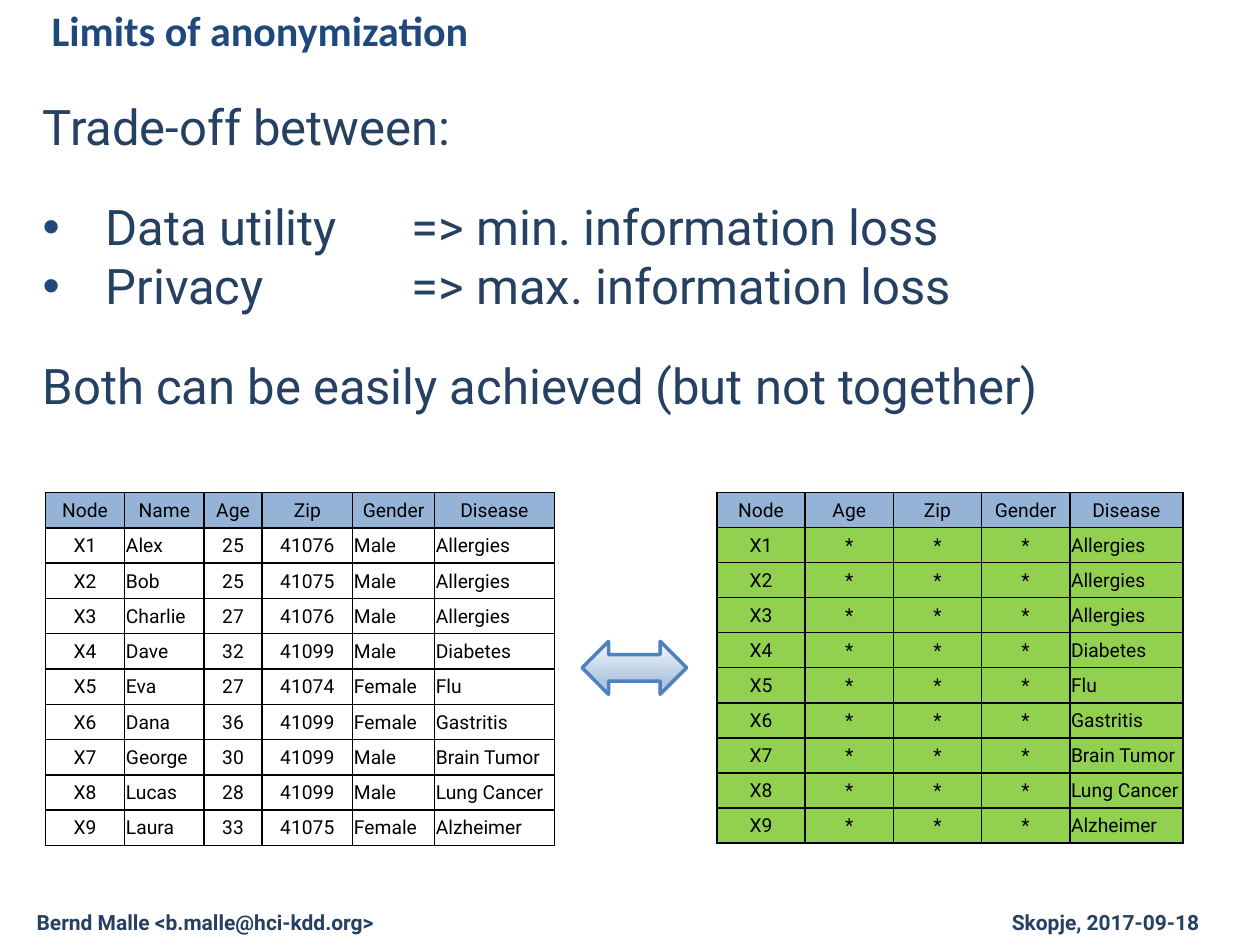
from dataclasses import dataclass

from lxml import etree
from pptx import Presentation
from pptx.dml.color import RGBColor
from pptx.enum.shapes import MSO_SHAPE
from pptx.enum.text import MSO_ANCHOR, PP_ALIGN
from pptx.oxml.ns import qn
from pptx.slide import Slide
from pptx.text.text import _Paragraph
from pptx.util import Inches, Pt

ARROW = MSO_SHAPE.LEFT_RIGHT_ARROW
MIDDLE, TOP = MSO_ANCHOR.MIDDLE, MSO_ANCHOR.TOP
ALIGNMENTS = {"c": PP_ALIGN.CENTER, "l": PP_ALIGN.LEFT}
COLORS = {
    "title": "1F497D",
    "text": "254061",
    "black": "000000",
    "header": "95B3D7",
    "anonymized": "92D050",
    "arrow_line": "4F81BD",
}
ARROW_GRADIENT = [(0, "F6F9FC"), (74, "B0C6E1"), (83, "B0C6E1"), (100, "CAD9EB")]

PATIENT_HEADER = ("Node", "Name", "Age", "Zip", "Gender", "Disease")
PATIENTS = [
    ("X1", "Alex", "25", "41076", "Male", "Allergies"),
    ("X2", "Bob", "25", "41075", "Male", "Allergies"),
    ("X3", "Charlie", "27", "41076", "Male", "Allergies"),
    ("X4", "Dave", "32", "41099", "Male", "Diabetes"),
    ("X5", "Eva", "27", "41074", "Female", "Flu"),
    ("X6", "Dana", "36", "41099", "Female", "Gastritis"),
    ("X7", "George", "30", "41099", "Male", "Brain Tumor"),
    ("X8", "Lucas", "28", "41099", "Male", "Lung Cancer"),
    ("X9", "Laura", "33", "41075", "Female", "Alzheimer"),
]


@dataclass
class Label:
    text: str
    left: float
    top: float
    width: float
    height: float
    size: int
    font: str = "Roboto"
    color: str = "text"
    anchor: MSO_ANCHOR = TOP


@dataclass
class BodyLine:
    text: str
    bullet: bool = False
    gap_before: float = 0


@dataclass
class DataTable:
    left: float
    top: float
    height: float
    widths: list[float]
    alignments: str
    rows: list[tuple[str, ...]]
    body_fill: str | None = None


LABELS = [
    Label("Bernd Malle <b.malle@hci-kdd.org>", 0.24, 7.17, 3.02, 0.3, 12),
    Label("Skopje, 2017-09-18", 7.98, 7.17, 1.81, 0.3, 12),
    Label("Limits of anonymization", 0.36, 0, 6.58, 0.47, 24, "Calibri", "title", MIDDLE),
]
BODY_LINES = [
    BodyLine("Trade-off between:"),
    BodyLine("Data utility\t=> min. information loss", True, 23.5),
    BodyLine("Privacy\t=> max. information loss", True),
    BodyLine("Both can be easily achieved (but not together)", gap_before=23.5),
]
TABLES = [
    DataTable(0.36, 3.91, 2.8, [0.63, 0.63, 0.46, 0.72, 0.65, 0.95], "clccll",
              [PATIENT_HEADER, *PATIENTS]),
    DataTable(5.69, 3.91, 2.78, [0.7] * 4 + [0.9], "ccccl",
              [("Node", "Age", "Zip", "Gender", "Disease"),
               *((row[0], "*", "*", "*", row[-1]) for row in PATIENTS)],
              "anonymized"),
]


def rgb(name: str) -> RGBColor:
    """Return the named colour."""
    return RGBColor.from_string(COLORS[name])


def set_font(paragraph: _Paragraph, name: str, size: int, color: str, bold: bool = False) -> None:
    """Style all text of a paragraph."""
    font = paragraph.font
    font.name, font.size, font.bold = name, Pt(size), bold
    font.color.rgb = rgb(color)


def add_label(slide: Slide, label: Label) -> None:
    """Add a bold single-line text box."""
    shape = slide.shapes.add_textbox(
        *(Inches(value) for value in (label.left, label.top, label.width, label.height)))
    frame = shape.text_frame
    frame.word_wrap, frame.vertical_anchor = True, label.anchor
    frame.margin_left = frame.margin_top = Inches(0.05)
    frame.margin_right = frame.margin_bottom = Inches(0.05)
    frame.text = label.text
    set_font(frame.paragraphs[0], label.font, label.size, label.color, True)


def add_bullet(paragraph: _Paragraph) -> None:
    """Give a paragraph a hanging bullet and a tab stop."""
    properties = paragraph._p.get_or_add_pPr()
    properties.set("marL", str(Inches(0.5)))
    properties.set("indent", str(Inches(-0.5)))
    bullet_color = etree.SubElement(properties, qn("a:buClr"))
    etree.SubElement(bullet_color, qn("a:srgbClr"), val=COLORS["title"])
    etree.SubElement(properties, qn("a:buFont"), typeface="Arial")
    etree.SubElement(properties, qn("a:buChar"), char="•")
    tabs = etree.SubElement(properties, qn("a:tabLst"))
    etree.SubElement(tabs, qn("a:tab"), pos=str(Inches(2.93)), algn="l")


def add_body(slide: Slide, lines: list[BodyLine]) -> None:
    """Add the main text."""
    shape = slide.shapes.add_textbox(Inches(0.24), Inches(0.72), Inches(8.85), Inches(2.63))
    frame = shape.text_frame
    frame.word_wrap = True
    for index, line in enumerate(lines):
        paragraph = frame.add_paragraph() if index else frame.paragraphs[0]
        paragraph.add_run().text = line.text
        paragraph.space_before = Pt(line.gap_before)
        if line.bullet:
            add_bullet(paragraph)
        set_font(paragraph, "Roboto", 28, "text")


def add_data_table(slide: Slide, data: DataTable) -> None:
    """Add a bordered table with a coloured header row."""
    frame = slide.shapes.add_table(
        len(data.rows), len(data.widths), Inches(data.left), Inches(data.top),
        Inches(sum(data.widths)), Inches(data.height))
    table = frame.table
    table.first_row = table.horz_banding = False
    for column, width in zip(table.columns, data.widths):
        column.width = Inches(width)
    for row_index, row in enumerate(data.rows):
        fill = data.body_fill if row_index else "header"
        alignments = data.alignments if row_index else "c" * len(row)
        for column_index, text in enumerate(row):
            cell = table.cell(row_index, column_index)
            cell.text = text
            cell.vertical_anchor = MIDDLE
            cell.margin_left = cell.margin_right = cell.margin_top = Inches(0.01)
            cell.margin_bottom = 0
            paragraph = cell.text_frame.paragraphs[0]
            paragraph.alignment = ALIGNMENTS[alignments[column_index]]
            set_font(paragraph, "Roboto", 11, "black")
            properties = cell._tc.get_or_add_tcPr()
            for side in "LRTB":
                border = etree.SubElement(properties, qn(f"a:ln{side}"), w=str(Pt(1)))
                solid = etree.SubElement(border, qn("a:solidFill"))
                etree.SubElement(solid, qn("a:srgbClr"), val=COLORS["black"])
            if fill:
                cell.fill.solid()
                cell.fill.fore_color.rgb = rgb(fill)
            else:
                cell.fill.background()


def add_arrow(slide: Slide) -> None:
    """Add the gradient double arrow between the tables."""
    shape = slide.shapes.add_shape(ARROW, Inches(4.62), Inches(5.09), Inches(0.83), Inches(0.42))
    shape.shadow.inherit = False
    shape.line.color.rgb = rgb("arrow_line")
    shape.line.width = Pt(2)
    shape.fill.gradient()
    shape.fill.gradient_angle = 270
    stops = shape._element.spPr.find(qn("a:gradFill")).find(qn("a:gsLst"))
    stops.clear()
    for percent, color in ARROW_GRADIENT:
        stop = etree.SubElement(stops, qn("a:gs"), pos=str(percent * 1000))
        etree.SubElement(stop, qn("a:srgbClr"), val=color)


def main() -> None:
    """Build and save the slide."""
    presentation = Presentation()
    presentation.slide_width, presentation.slide_height = Inches(10), Inches(7.5)
    slide = presentation.slides.add_slide(presentation.slide_layouts[6])
    for label in LABELS:
        add_label(slide, label)
    add_body(slide, BODY_LINES)
    for data in TABLES:
        add_data_table(slide, data)
    add_arrow(slide)
    presentation.save("out.pptx")


if __name__ == "__main__":
    main()
